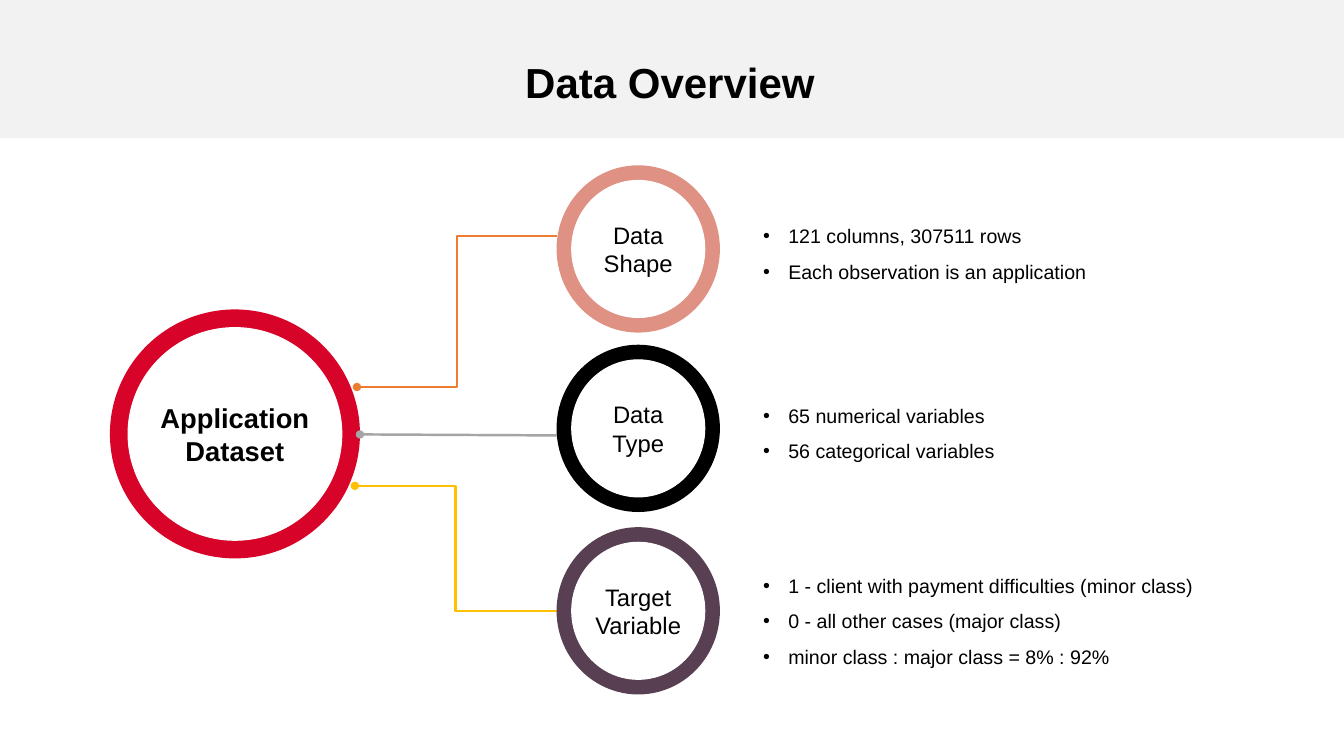
from pptx import Presentation
from pptx.dml.color import RGBColor
from pptx.enum.shapes import MSO_CONNECTOR as CONN, MSO_SHAPE as SHAPE
from pptx.enum.text import MSO_ANCHOR as ANCHOR, MSO_AUTO_SIZE as AUTO, PP_ALIGN as ALIGN
from pptx.oxml.ns import qn
from pptx.util import Pt
from lxml.etree import SubElement

PX = 9144  # EMU per px, 100 px to the inch
FONT = "Arial"
COLORS = {
    "band": "F2F2F2", "white": "FFFFFF", "text": "000000", "dataset": "D70329",
    "shape": "DF9183", "type": "000000", "target": "583F52",
    "orange": "ED7D31", "gray": "A5A5A5", "yellow": "FFC000",
}
# Ring top, ring colour, label paragraphs, notes top, notes
TOPICS = [
    (164, "shape", ["Data", "Shape"], 206,
     ["121 columns, 307511 rows", "Each observation is an application"]),
    (342, "type", ["Data", "Type"], 384,
     ["65 numerical variables", "56 categorical variables"]),
    (523, "target", ["Target Variable"], 553,
     ["1 - client with payment difficulties (minor class)",
      "0 - all other cases (major class)",
      "minor class : major class = 8% : 92%"]),
]
# Kind, begin x, begin y, end x, end y, colour
LINKS = [
    (CONN.ELBOW, 354, 384, 552, 234, "orange"),
    (CONN.ELBOW, 352, 482, 552, 606, "yellow"),
    (CONN.STRAIGHT, 357, 431, 552, 432, "gray"),
]


def px(*lengths):
    return [n * PX for n in lengths]


def rgb(name):
    return RGBColor.from_string(COLORS[name])


def write(tf, lines, size, bold=False, **formats):
    """Fill a text frame, one paragraph per line."""
    for i, line in enumerate(lines):
        p = tf.paragraphs[0] if i == 0 else tf.add_paragraph()
        for name, value in formats.items():
            setattr(p, name, value)
        r = p.add_run()
        r.text = line
        font = {"name": FONT, "size": Pt(size), "bold": bold}
        for name, value in font.items():
            setattr(r.font, name, value)
        r.font.color.rgb = rgb("text")


def add_filled(s, kind, box, color, outline=False):
    sp = s.shapes.add_shape(kind, *px(*box))
    sp.shadow.inherit = False
    sp.fill.solid()
    sp.fill.fore_color.rgb = rgb(color)
    if outline:
        sp.line.color.rgb = rgb(color)
        sp.line.width = Pt(0.75)
    else:
        sp.line.fill.background()
    return sp


def add_ring(s, box, dx, dy, color, label, size, bold=False):
    """Coloured disc with a white labelled disc inside it."""
    x, y, w, h = box
    add_filled(s, SHAPE.OVAL, box, color)
    inner = (x + dx, y + dy, w - 2 * dx, h - 2 * dy)
    sp = add_filled(s, SHAPE.OVAL, inner, "white", outline=True)
    tf = sp.text_frame
    frame = {"word_wrap": True, "vertical_anchor": ANCHOR.MIDDLE,
             "margin_left": 0, "margin_right": 0}
    for name, value in frame.items():
        setattr(tf, name, value)
    write(tf, label, size, bold, alignment=ALIGN.CENTER)


def add_link(s, kind, x1, y1, x2, y2, color):
    """Connector that starts with a dot."""
    cxn = s.shapes.add_connector(kind, *px(x1, y1, x2, y2))
    cxn.line.color.rgb = rgb(color)
    cxn.line.width = Pt(1.75)
    SubElement(cxn.line._get_or_add_ln(), qn("a:headEnd"), type="oval")
    SubElement(cxn._element.spPr, qn("a:effectLst"))


def add_notes(s, y, lines):
    """Bulleted list beside a ring."""
    tf = s.shapes.add_textbox(*px(747, y, 510, 11 + 35 * len(lines))).text_frame
    tf.word_wrap = True
    write(tf, lines, 14, line_spacing=1.5)
    for p in tf.paragraphs:
        pPr = p._p.get_or_add_pPr()
        pPr.set("marL", str(25 * PX))
        pPr.set("indent", str(-25 * PX))
        SubElement(pPr, qn("a:buFont"), typeface=FONT)
        SubElement(pPr, qn("a:buChar"), char="•")


def add_title(s, text):
    title = s.shapes.title
    title.left, title.top, title.width, title.height = px(482, 42, 365, 70)
    tf = title.text_frame
    tf.auto_size = AUTO.NONE
    tf.vertical_anchor = ANCHOR.MIDDLE
    write(tf, [text], 30, True, alignment=ALIGN.CENTER, line_spacing=1.18)
    s.shapes._spTree.append(title._element)  # bring above the band


def main():
    prs = Presentation()
    prs.slide_width, prs.slide_height = px(1333, 750)
    s = prs.slides.add_slide(prs.slide_layouts[5])

    # Header
    add_filled(s, SHAPE.RECTANGLE, (0, 0, 1333, 137), "band")
    add_title(s, "Data Overview")

    # Dataset and its links
    add_ring(s, (109, 307, 248, 247), 18, 18, "dataset",
             ["Application", "Dataset"], 19.5, True)
    for link in LINKS:
        add_link(s, *link)

    # Topics
    for ring_y, color, label, notes_y, notes in TOPICS:
        add_ring(s, (552, ring_y, 162, 166), 15, 15, color, label, 17)
        add_notes(s, notes_y, notes)

    prs.save("out.pptx")


if __name__ == "__main__":
    main()
